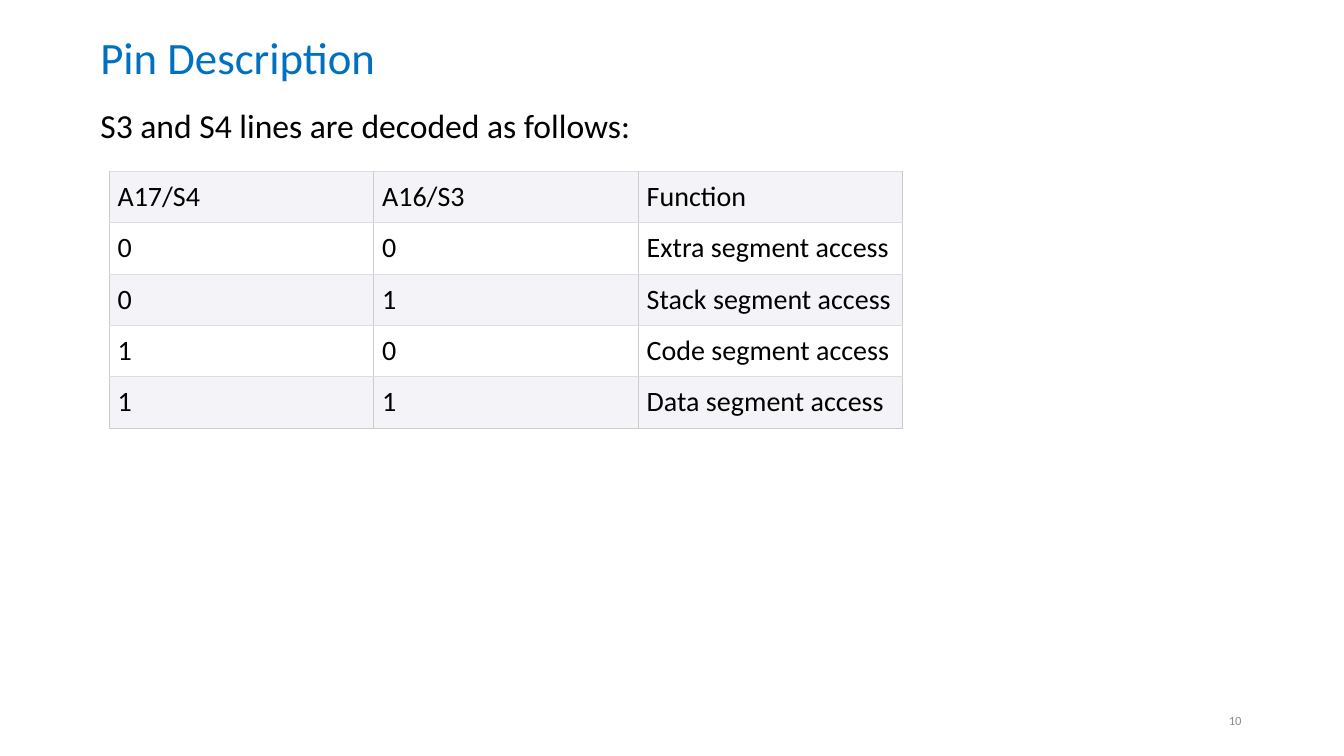
from lxml import etree
from pptx import Presentation
from pptx.dml.color import RGBColor
from pptx.enum.text import MSO_ANCHOR, MSO_AUTO_SIZE, PP_ALIGN
from pptx.oxml.ns import qn
from pptx.util import Pt

PX = 9525
FONT = "Calibri"
LEFT = PP_ALIGN.LEFT
RIGHT = PP_ALIGN.RIGHT
TOP = MSO_ANCHOR.TOP
MIDDLE = MSO_ANCHOR.MIDDLE
NO_FIT = MSO_AUTO_SIZE.NONE

BLACK = RGBColor(0x00, 0x00, 0x00)
WHITE = RGBColor(0xFF, 0xFF, 0xFF)
BLUE = RGBColor(0x00, 0x70, 0xC0)
GREY = RGBColor(0x8C, 0x8C, 0x8C)
BAND = RGBColor(0xF4, 0xF4, 0xF8)
SIDE_LINE = RGBColor(0xCC, 0xCC, 0xCC)
ROW_LINE = RGBColor(0xDD, 0xDD, 0xDD)

SEGMENT_ROWS = [
    ("A17/S4", "A16/S3", "Function"),
    ("0", "0", "Extra segment access"),
    ("0", "1", "Stack segment access"),
    ("1", "0", "Code segment access"),
    ("1", "1", "Data segment access"),
]


def place(box, left, top, width, height):
    box.left, box.top = left * PX, top * PX
    box.width, box.height = width * PX, height * PX


def write(frame, text, size, color=BLACK, align=LEFT, spacing=1.0):
    frame.text = text
    para = frame.paragraphs[0]
    para.alignment = align
    para.line_spacing = spacing
    para.space_before = Pt(0)
    span = para.runs[0]
    span.font.name = FONT
    span.font.size = Pt(size)
    span.font.color.rgb = color
    return para


def write_box(box, text, size, anchor=TOP, **style):
    frame = box.text_frame
    frame.word_wrap = True
    frame.auto_size = NO_FIT
    frame.vertical_anchor = anchor
    return write(frame, text, size, **style)


def remove_bullet(para):
    properties = para._p.get_or_add_pPr()
    properties.set("marL", "0")
    properties.set("indent", "0")
    etree.SubElement(properties, qn("a:buNone"))


def add_border(cell, side, color):
    properties = cell._tc.get_or_add_tcPr()
    line = etree.SubElement(properties, qn(f"a:ln{side}"), w=str(Pt(0.75)))
    fill = etree.SubElement(line, qn("a:solidFill"))
    etree.SubElement(fill, qn("a:srgbClr"), val=str(color))


def format_cell(cell, text, fill, bottom_line):
    cell.margin_left = cell.margin_right = 8 * PX
    cell.margin_top = cell.margin_bottom = 8 * PX
    write(cell.text_frame, text, 20)
    borders = {"L": SIDE_LINE, "R": SIDE_LINE, "T": ROW_LINE, "B": bottom_line}
    for side, color in borders.items():
        add_border(cell, side, color)
    cell.fill.solid()
    cell.fill.fore_color.rgb = fill


def add_grid(page, rows, left, top, column_width, row_height):
    row_count, column_count = len(rows), len(rows[0])
    table = page.shapes.add_table(
        row_count, column_count, left * PX, top * PX,
        column_count * column_width * PX, row_count * row_height * PX).table
    for row_index, values in enumerate(rows):
        fill = WHITE if row_index % 2 else BAND
        bottom_line = SIDE_LINE if row_index == row_count - 1 else ROW_LINE
        for column_index, text in enumerate(values):
            format_cell(table.cell(row_index, column_index), text, fill, bottom_line)


def main():
    deck = Presentation()
    deck.slide_width, deck.slide_height = 1280 * PX, 720 * PX
    page = deck.slides.add_slide(deck.slide_layouts[1])

    title, body = page.placeholders
    place(title, 86, 15, 792, 84)
    write_box(title, "Pin Description", 32, MIDDLE, color=BLUE, spacing=0.9)

    place(body, 86, 99, 1106, 588)
    intro = write_box(body, "S3 and S4 lines are decoded as follows:", 24, spacing=0.9)
    remove_bullet(intro)

    add_grid(page, SEGMENT_ROWS, 104, 163, 252, 49)

    number = page.shapes.add_textbox(0, 0, 0, 0)
    place(number, 904, 667, 288, 38)
    write_box(number, "10", 9, MIDDLE, color=GREY, align=RIGHT)

    deck.save("out.pptx")


if __name__ == "__main__":
    main()
